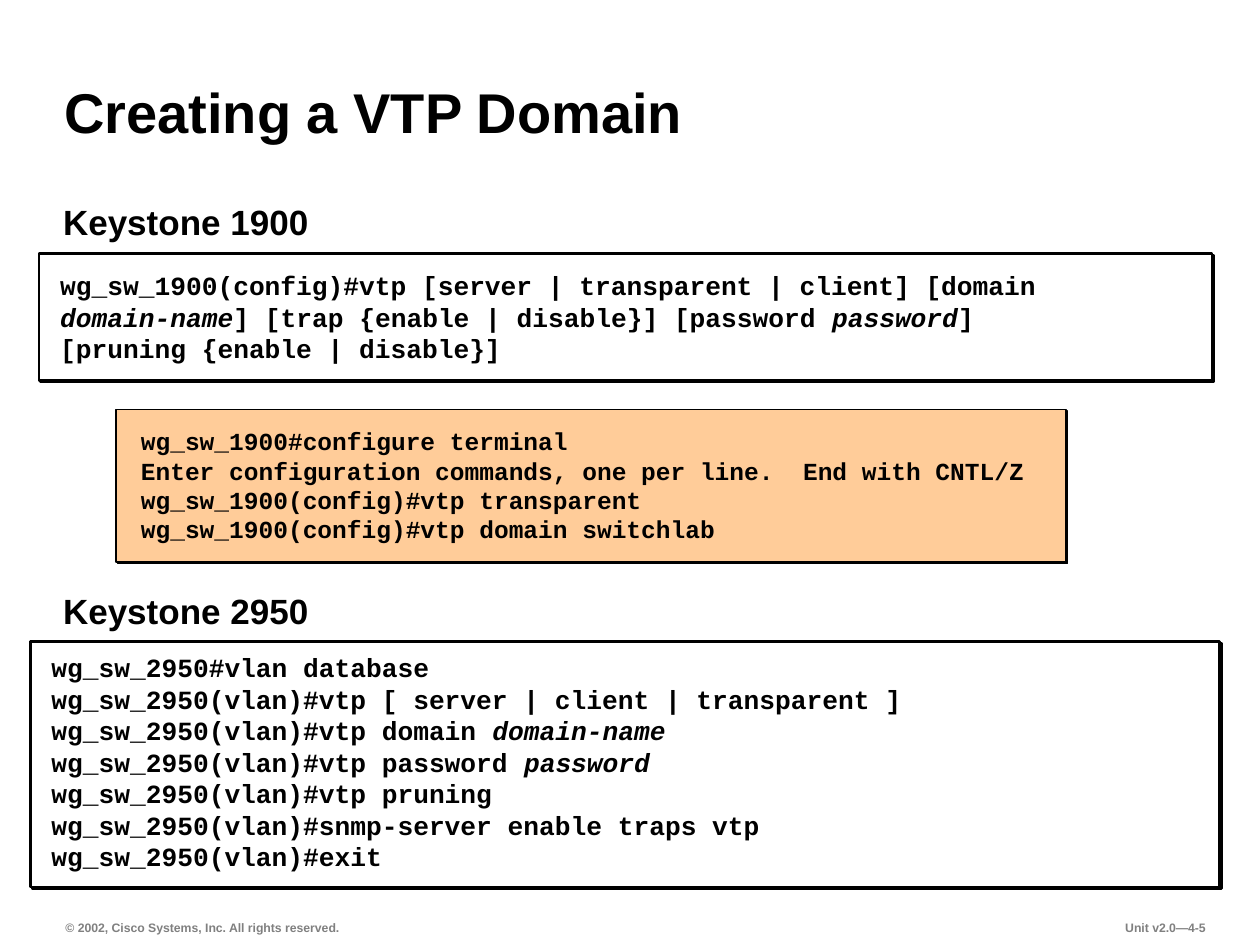
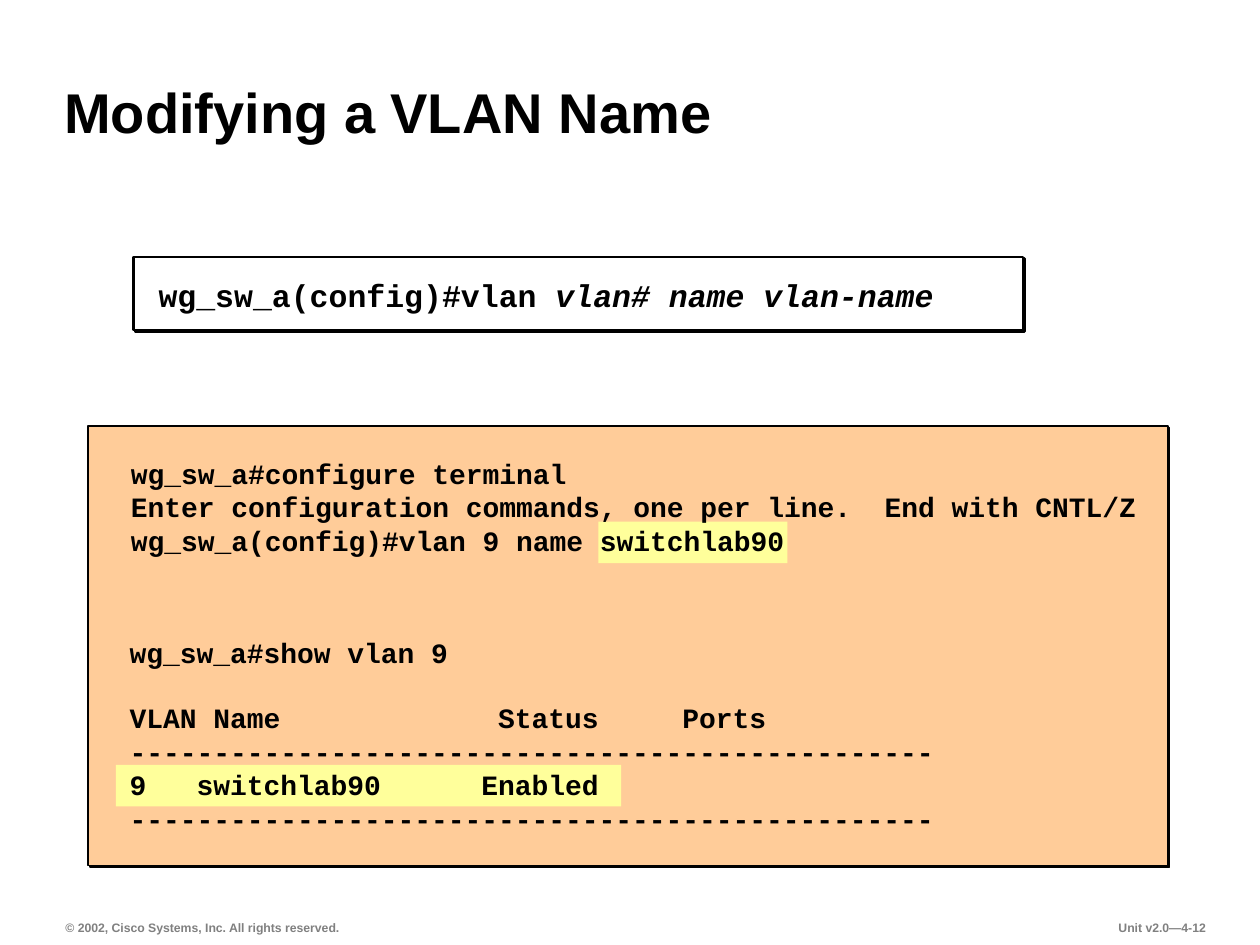
import pptx
import pptx.util
import pptx.dml.color
import pptx.enum.shapes
import pptx.enum.text
import pptx.oxml

Inches, Pt = pptx.util.Inches, pptx.util.Pt
ANCHOR = pptx.enum.text.MSO_ANCHOR
ALIGN = pptx.enum.text.PP_ALIGN

BLACK, WHITE, GRAY = "000000", "FFFFFF", "808080"
PEACH, YELLOW = "FFCC99", "FFFF9B"
SANS, MONO = "Arial", "Courier New"
SHADOW = (
    '<a:effectLst xmlns:a="http://schemas.openxmlformats.org/drawingml/2006/main">'
    '<a:outerShdw dist="17780" dir="2700000" algn="ctr" rotWithShape="0">'
    f'<a:srgbClr val="{BLACK}"/></a:outerShdw></a:effectLst>'
)


def panel(slide, at, fill, line=0):
    """Draw a filled box; one with a line also gets a hard shadow."""
    kind = pptx.enum.shapes.MSO_SHAPE.RECTANGLE
    box = slide.shapes.add_shape(kind, *map(Inches, at))
    box.shadow.inherit = False
    box.fill.solid()
    box.fill.fore_color.rgb = pptx.dml.color.RGBColor.from_string(fill)
    if not line:
        box.line.fill.background()
        return
    box.line.color.rgb = pptx.dml.color.RGBColor.from_string(BLACK)
    box.line.width = Pt(line)
    props = box.shadow._element
    props.remove(props.find("{*}effectLst"))
    props.append(pptx.oxml.parse_xml(SHADOW))


def write(box, at, lines, size, face=SANS, color=BLACK, inset=(0.09, 0.04),
          anchor=ANCHOR.MIDDLE, wrap=True, align=ALIGN.LEFT, lead=1.0):
    """Place a box and fill it with bold text; *stars* mark italics."""
    box.left, box.top, box.width, box.height = map(Inches, at)
    frame = box.text_frame
    frame.auto_size = pptx.enum.text.MSO_AUTO_SIZE.NONE
    frame.word_wrap = wrap
    frame.vertical_anchor = anchor
    frame.margin_left = frame.margin_right = Inches(inset[0])
    frame.margin_top = frame.margin_bottom = Inches(inset[1])
    for i, line in enumerate(lines):
        para = frame.add_paragraph() if i else frame.paragraphs[0]
        para.alignment = align
        para.line_spacing = lead
        para.space_before = Pt(0)
        font = para.font
        font.name, font.size, font.bold = face, Pt(size), True
        font.color.rgb = pptx.dml.color.RGBColor.from_string(color)
        for j, part in enumerate(line.split("*")):
            if part:
                run = para.add_run()
                run.text = part
                if j % 2:
                    run.font.italic = True
    return frame


RULE = "-" * 48
ENTER = "Enter configuration commands, one per line.  End with CNTL/Z"

# Each panel: place, fill, line width. Each code: place, size, wrap, lines.
PAGES = [
    {
        "title": "Creating a VTP Domain",
        "page": "4-5",
        "panels": [
            ((0.92, 3.25, 7.54, 1.21), PEACH, 1),
            ((0.31, 2.01, 9.31, 1.01), WHITE, 1.5),
            ((0.24, 5.09, 9.44, 1.95), WHITE, 1.5),
        ],
        "heads": [(1.56, "Keystone 1900"), (4.64, "Keystone 2950")],
        "codes": [
            ((1.02, 3.33, 7.22, 1.04), 14, False, [
                "wg_sw_1900#configure terminal",
                ENTER,
                "wg_sw_1900(config)#vtp transparent",
                "wg_sw_1900(config)#vtp domain switchlab",
            ]),
            ((0.38, 2.09, 8.53, 0.85), 15, True, [
                "wg_sw_1900(config)#vtp [server | transparent | client] [domain "
                "*domain-name*] [trap {enable | disable}] [password *password*] "
                "[pruning {enable | disable}]",
            ]),
            ((0.31, 5.12, 6.95, 1.85), 15, False, [
                "wg_sw_2950#vlan database",
                "wg_sw_2950(vlan)#vtp [ server | client | transparent ]",
                "wg_sw_2950(vlan)#vtp domain *domain-name*",
                "wg_sw_2950(vlan)#vtp password *password*",
                "wg_sw_2950(vlan)#vtp pruning",
                "wg_sw_2950(vlan)#snmp-server enable traps vtp",
                "wg_sw_2950(vlan)#exit",
            ]),
        ],
    },
    {
        "title": "Modifying a VLAN Name",
        "page": "4-12",
        "panels": [
            ((0.7, 3.38, 8.57, 3.49), PEACH, 1),
            ((4.75, 4.14, 1.5, 0.33), YELLOW, 0),
            ((0.92, 6.07, 4.01, 0.33), YELLOW, 0),
            ((1.06, 2.04, 7.06, 0.58), WHITE, 1.5),
        ],
        "heads": [],
        "codes": [
            ((1.16, 2.14, 6.35, 0.4), 18, False, [
                "wg_sw_a(config)#vlan *vlan# name vlan-name*",
            ]),
            ((0.94, 3.57, 8.18, 0.9), 16, False, [
                "wg_sw_a#configure terminal",
                ENTER,
                "wg_sw_a(config)#vlan 9 name switchlab90",
            ]),
            ((0.93, 5.03, 6.58, 1.61), 16, False, [
                "wg_sw_a#show vlan 9",
                "VLAN Name             Status     Ports",
                RULE,
                "9   switchlab90      Enabled",
                RULE,
            ]),
        ],
    },
]

deck = pptx.Presentation()
deck.slide_width, deck.slide_height = Inches(10), Inches(7.5)

for page in PAGES:
    slide = deck.slides.add_slide(deck.slide_layouts[5])
    write(slide.shapes.title, (0.42, 0.28, 8.34, 0.92), [page["title"]], 32,
          anchor=ANCHOR.BOTTOM, lead=0.9)

    for at, fill, line in page["panels"]:
        panel(slide, at, fill, line)

    for top, text in page["heads"]:
        write(slide.shapes.add_textbox(0, 0, 0, 0), (0.39, top, 2.68, 0.43),
              [text], 20, inset=(0.11, 0.06), anchor=ANCHOR.TOP, lead=0.95)

    for at, size, wrap, lines in page["codes"]:
        frame = write(slide.shapes.add_textbox(0, 0, 0, 0), at, lines, size,
                      MONO, inset=(0.1, 0.05), wrap=wrap)
        for para in frame.paragraphs:
            if para.text.startswith("VLAN Name"):
                para.space_before = Pt(18)

    for left, width, align, text in [
        (0.43, 2.36, ALIGN.LEFT, "© 2002, Cisco Systems, Inc. All rights reserved."),
        (8.38, 1.28, ALIGN.RIGHT, "Unit v2.0—" + page["page"]),
    ]:
        write(slide.shapes.add_textbox(0, 0, 0, 0), (left, 7.26, width, 0.21),
              [text], 7, color=GRAY, wrap=False, align=align)

deck.save("out.pptx")
